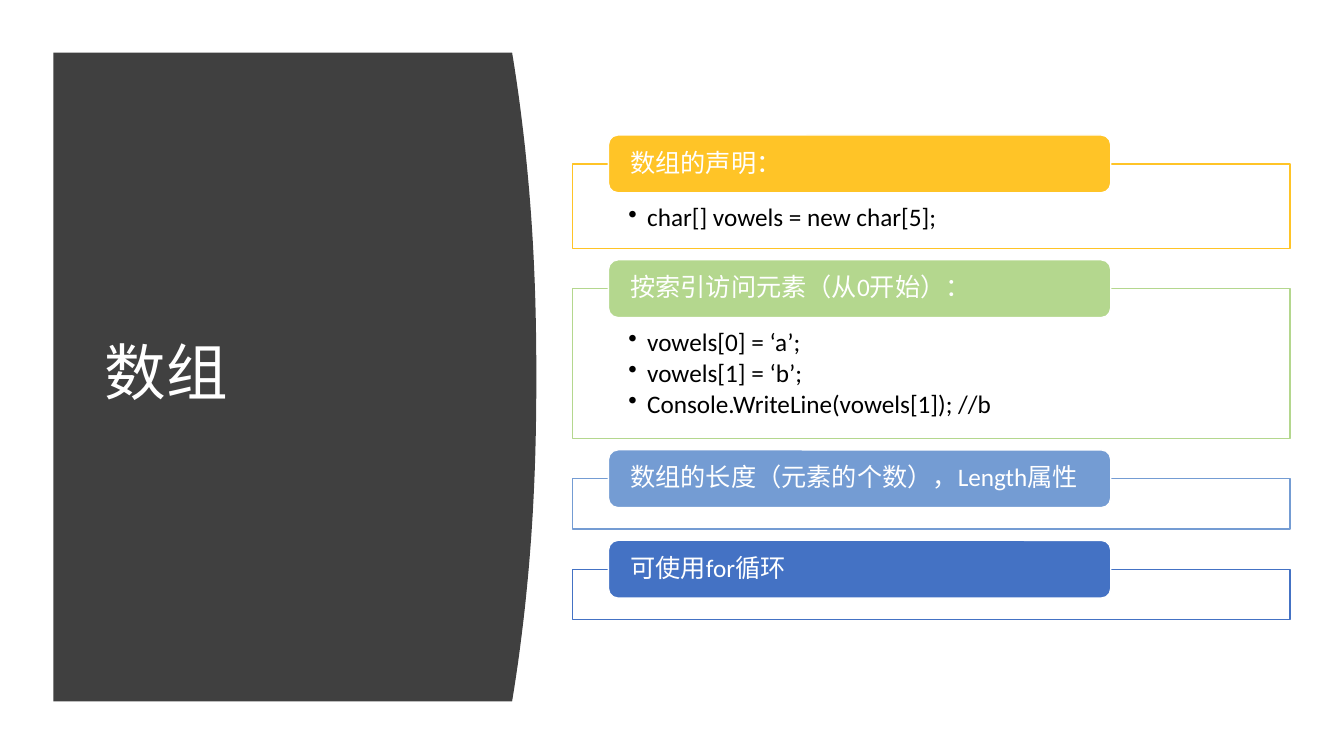
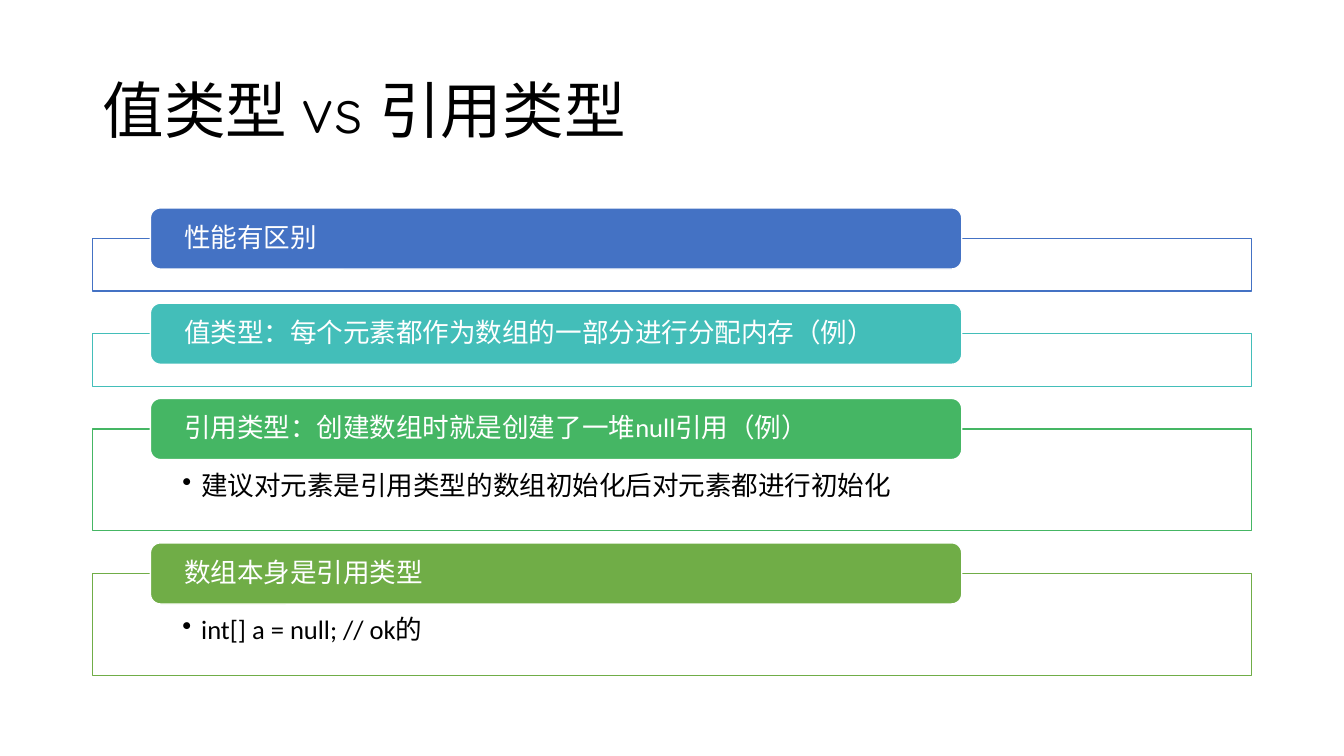
"""Build two slides on arrays, each a title beside or above a stack of tabbed boxes."""
from dataclasses import dataclass

from lxml import etree
from pptx import Presentation
from pptx.dml.color import RGBColor
from pptx.enum import shapes, text
from pptx.oxml import ns
from pptx.util import Pt


@dataclass(frozen=True)
class Theme:
    title_font: str = "Quicksand"
    body_font: str = "Calibri"
    title_size: float = 44
    line_spacing: float = 0.9
    white: str = "FFFFFF"
    black: str = "000000"
    panel: str = "404040"
    gold: str = "FFC427"
    lime: str = "B4D78E"
    sky: str = "749CD3"
    blue: str = "4472C4"
    teal: str = "43BEB9"
    green: str = "45B664"
    leaf: str = "70AD47"


THEME = Theme()

SLIDES = [
    {
        "title": "数组",
        "title_box": (67.7, 79.9, 269.3, 377.3),
        "title_color": THEME.white,
        "panel": {"left": 38.2, "top": 37.5, "right": 365.8, "bottom": 501, "bulge": 17.3},
        "stack": {"left": 409, "top": 96.4, "width": 512.6, "size": 18,
                  "tab": 41.3, "gap": 8, "inset": 29.5},
        "sections": [
            ("数组的声明：", THEME.gold, 60.5, ["char[] vowels = new char[5];"]),
            ("按索引访问元素（从0开始）：", THEME.lime, 107.1,
             ["vowels[0] = ‘a’;", "vowels[1] = ‘b’;", "Console.WriteLine(vowels[1]); //b"]),
            ("数组的长度（元素的个数），Length属性", THEME.sky, 36, []),
            ("可使用for循环", THEME.blue, 36, []),
        ],
    },
    {
        "title": "值类型 vs 引用类型",
        "title_box": (66, 28.8, 828, 104.4),
        "title_color": THEME.black,
        "panel": None,
        "stack": {"left": 66, "top": 148.5, "width": 828, "size": 19,
                  "tab": 43.7, "gap": 8.6, "inset": 31},
        "sections": [
            ("性能有区别", THEME.blue, 37.6, []),
            ("值类型：每个元素都作为数组的一部分进行分配内存（例）", THEME.teal, 37.6, []),
            ("引用类型：创建数组时就是创建了一堆null引用（例）", THEME.green, 72.7,
             ["建议对元素是引用类型的数组初始化后对元素都进行初始化"]),
            ("数组本身是引用类型", THEME.leaf, 72.7, ["int[] a = null; // ok的"]),
        ],
    },
]


def paint(shape, fill, line=None):
    shape.shadow.inherit = False
    shape.fill.solid()
    shape.fill.fore_color.rgb = RGBColor.from_string(fill)
    if line:
        shape.line.color.rgb = RGBColor.from_string(line)
        shape.line.width = Pt(1)
    else:
        shape.line.fill.background()


def add_bullet(paragraph):
    properties = paragraph._p.get_or_add_pPr()
    properties.set("marL", str(Pt(13.5)))
    properties.set("indent", str(Pt(-13.5)))
    bullet = etree.SubElement(properties, ns.qn("a:buChar"))
    bullet.set("char", "•")


def write(shape, lines, font, size, color, anchor, space_after=0, bullets=False):
    frame = shape.text_frame
    frame.text = "\n".join(lines)
    frame.word_wrap = True
    frame.auto_size = text.MSO_AUTO_SIZE.NONE
    frame.vertical_anchor = anchor
    for paragraph in frame.paragraphs:
        if bullets:
            add_bullet(paragraph)
        paragraph.alignment = text.PP_ALIGN.LEFT
        paragraph.line_spacing = THEME.line_spacing
        paragraph.space_before = Pt(0)
        paragraph.space_after = Pt(space_after)
        for run in paragraph.runs:
            run.font.name = font
            run.font.size = Pt(size)
            run.font.color.rgb = RGBColor.from_string(color)


def set_margins(shape, side, top=0, bottom=0):
    frame = shape.text_frame
    frame.margin_left = frame.margin_right = Pt(side)
    frame.margin_top, frame.margin_bottom = Pt(top), Pt(bottom)


def add_title(slide, content):
    title = slide.shapes.title
    title.left, title.top, title.width, title.height = map(Pt, content["title_box"])
    write(title, [content["title"]], THEME.title_font, THEME.title_size,
          content["title_color"], text.MSO_ANCHOR.MIDDLE)


def add_panel(slide, left, top, right, bottom, bulge):
    steps = 48
    middle, half = (top + bottom) / 2, (bottom - top) / 2
    offsets = [2 * step / steps - 1 for step in range(steps + 1)]
    curve = [(Pt(right + bulge * (1 - abs(offset) ** 2.2)), Pt(middle + half * offset))
             for offset in offsets]
    builder = slide.shapes.build_freeform(Pt(left), Pt(top))
    builder.add_line_segments(curve + [(Pt(left), Pt(bottom))], close=True)
    panel = builder.convert_to_shape()
    paint(panel, THEME.panel)
    slide.shapes.element.insert(2, panel.element)


def add_stack(slide, sections, left, top, width, size, tab, gap, inset):
    for heading, color, height, lines in sections:
        frame = slide.shapes.add_shape(
            shapes.MSO_SHAPE.RECTANGLE, Pt(left), Pt(top + tab / 2), Pt(width), Pt(height))
        paint(frame, THEME.white, color)
        if lines:
            set_margins(frame, width * 0.0776, inset, 10)
            write(frame, lines, THEME.body_font, size, THEME.black,
                  text.MSO_ANCHOR.TOP, size * 0.14, bullets=True)
        header = slide.shapes.add_shape(
            shapes.MSO_SHAPE.ROUNDED_RECTANGLE,
            Pt(left + width * 0.05), Pt(top), Pt(width * 0.7), Pt(tab))
        paint(header, color, THEME.white)
        set_margins(header, width * 0.0265)
        write(header, [heading], THEME.body_font, size, THEME.white,
              text.MSO_ANCHOR.MIDDLE, size * 0.35)
        top += tab / 2 + height + gap


def main():
    presentation = Presentation()
    presentation.slide_width, presentation.slide_height = Pt(960), Pt(540)
    title_only = presentation.slide_layouts[5]
    for content in SLIDES:
        slide = presentation.slides.add_slide(title_only)
        add_title(slide, content)
        if content["panel"]:
            add_panel(slide, **content["panel"])
        add_stack(slide, content["sections"], **content["stack"])
    presentation.save("out.pptx")


if __name__ == "__main__":
    main()
